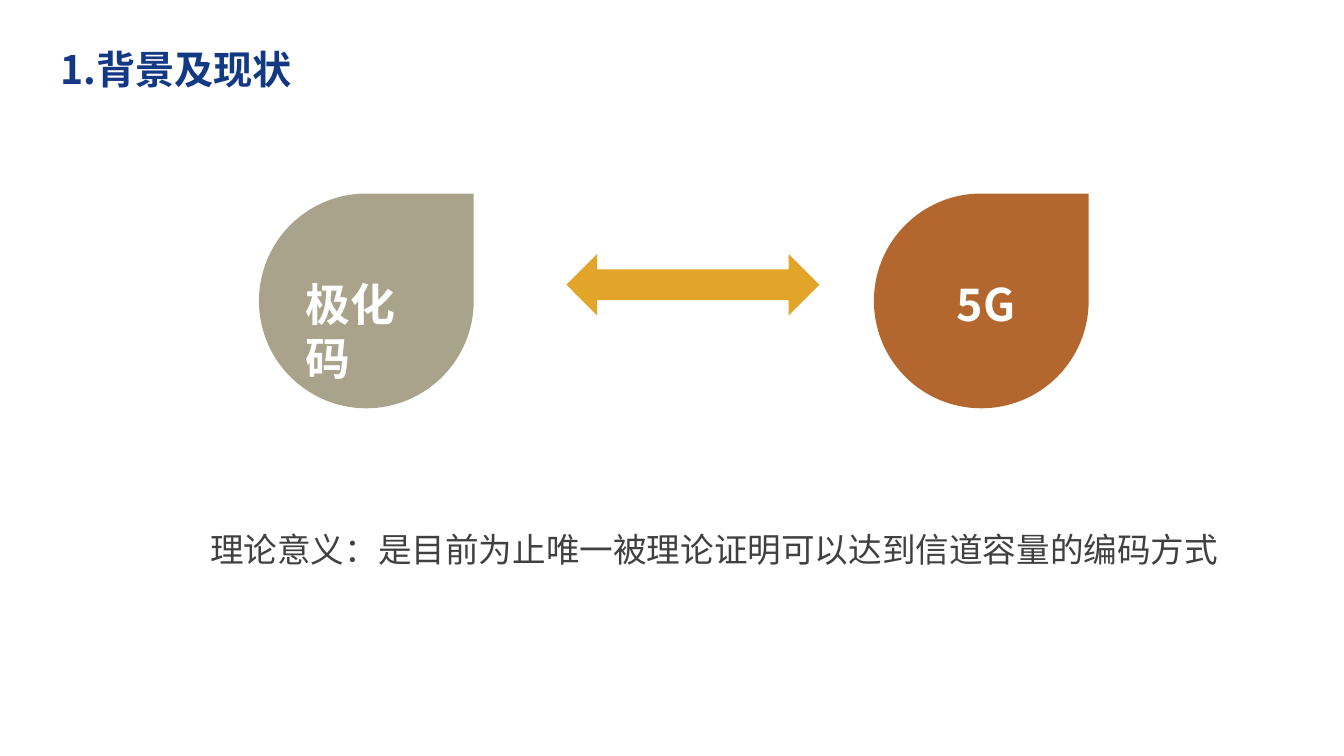
import lxml.etree
import pptx
import pptx.dml.color
import pptx.enum.shapes
import pptx.enum.text
import pptx.oxml.ns
import pptx.util

Pt = pptx.util.Pt
SHAPES = pptx.enum.shapes.MSO_SHAPE
ALIGN = pptx.enum.text.PP_ALIGN
FONT = "Noto Sans CJK SC"
COLOURS = {
    "title": "133984",
    "polar": "9A9479",
    "rust": "B3672E",
    "arrow": "E2A52A",
    "body": "404040",
    "label": "FFFFFF",
}
DROP_TOP, DROP_SIZE = 138.25, 153.4
LABEL_HEIGHT = 46


def set_formats(target, formats):
    for name, value in formats.items():
        setattr(target, name, value)


def rgb(colour):
    return pptx.dml.color.RGBColor.from_string(COLOURS[colour])


def fill_solid(item, colour, opacity=100):
    item.fill.solid()
    item.fill.fore_color.rgb = rgb(colour)
    if opacity < 100:
        tag = pptx.oxml.ns.qn("a:srgbClr")
        for node in item._element.spPr.iter(tag):
            alpha = lxml.etree.SubElement(node, pptx.oxml.ns.qn("a:alpha"))
            alpha.set("val", str(opacity * 1000))


def add_shape(shapes, kind, frame, colour, opacity=100):
    shape = shapes.add_shape(kind, *map(Pt, frame))
    shape.shadow.inherit = False
    shape.line.fill.background()
    fill_solid(shape, colour, opacity)
    return shape


def add_text(shapes, frame, text, size, colour, bold=False, wrap=True, **formats):
    box = shapes.add_textbox(*map(Pt, frame))
    set_formats(box.text_frame, {
        "word_wrap": wrap,
        "auto_size": pptx.enum.text.MSO_AUTO_SIZE.SHAPE_TO_FIT_TEXT,
    })
    para = box.text_frame.paragraphs[0]
    set_formats(para, formats)
    span = para.add_run()
    span.text = text
    set_formats(span.font, {"name": FONT, "size": Pt(size), "bold": bold})
    span.font.color.rgb = rgb(colour)
    # East Asian characters take their font from a separate element
    east_asian = lxml.etree.SubElement(
        span.font._element, pptx.oxml.ns.qn("a:ea"))
    east_asian.set("typeface", FONT)
    return box


def add_drop(page, left, text, label_width, colour, opacity=100):
    """A teardrop grouped with its label, which sits just right of centre."""
    shapes = page.shapes.add_group_shape().shapes
    add_shape(shapes, SHAPES.TEAR, (left, DROP_TOP, DROP_SIZE, DROP_SIZE),
              colour, opacity)
    label_left = left + (DROP_SIZE - label_width) / 2 + 4.7
    return add_text(shapes, (label_left, DROP_TOP + 56, label_width, LABEL_HEIGHT),
                    text, 32, "label", bold=True, wrap=False)


def main():
    deck = pptx.Presentation()
    set_formats(deck, {"slide_width": Pt(960), "slide_height": Pt(540)})
    page = deck.slides.add_slide(deck.slide_layouts[6])

    # Title
    add_text(page.shapes, (36, 12.25, 230.4, 51.85), "1.背景及现状", 28, "title",
             bold=True, line_spacing=1.5)

    # Two linked topics
    add_drop(page, 185, "极化码", 110, "polar", opacity=85)
    label = add_drop(page, 624.25, "5G", 58.3, "rust")
    fill_solid(label, "rust")
    add_shape(page.shapes, SHAPES.LEFT_RIGHT_ARROW,
              (404.65, 181.45, 180.7, 43.9), "arrow")

    # Theoretical significance
    add_text(page.shapes, (130.3, 367.2, 759.6, 43.2),
             "理论意义:是目前为止唯一被理论证明可以达到信道容量的编码方式".replace(":", "\uff1a"),
             24, "body", alignment=ALIGN.CENTER, line_spacing=1.25)

    deck.save("out.pptx")


main()
